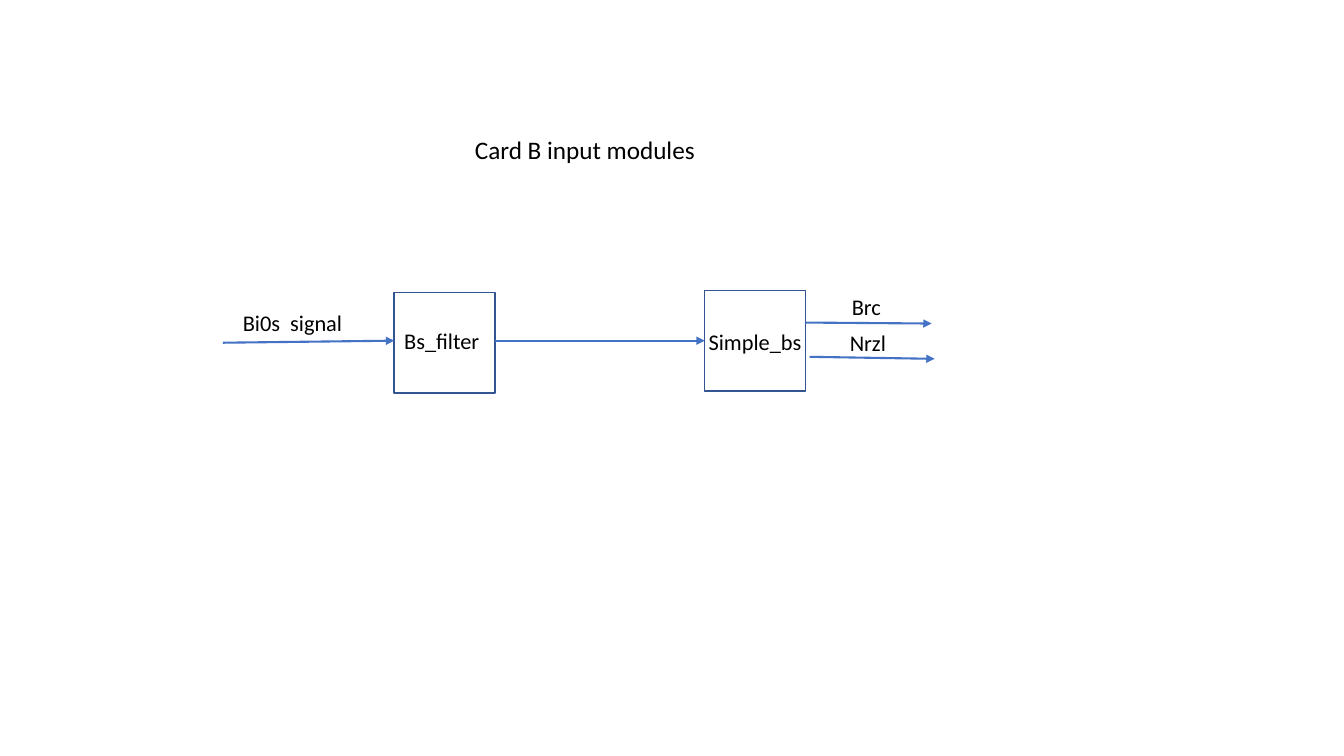
"""Build the slide of Card B input modules as a signal chain of two blocks."""
from dataclasses import dataclass

from lxml.etree import SubElement
from pptx import Presentation
from pptx.dml.color import RGBColor
from pptx.enum.shapes import MSO_CONNECTOR, MSO_SHAPE
from pptx.enum.text import MSO_ANCHOR, MSO_AUTO_SIZE, PP_ALIGN
from pptx.oxml.ns import qn
from pptx.slide import Slide
from pptx.util import Inches, Length, Pt

COLUMNS, ROWS = 13.33, 7.5
CELL = Inches(1)


@dataclass(frozen=True)
class Theme:
    """Colours, type sizes and line widths of the slide."""
    font: str = "Calibri"
    ink: RGBColor = RGBColor(0, 0, 0)
    outline: RGBColor = RGBColor(0x32, 0x54, 0x91)
    arrow: RGBColor = RGBColor(0x44, 0x72, 0xC4)
    title_size: Length = Pt(18)
    label_size: Length = Pt(16)
    outline_width: Length = Pt(1)
    arrow_width: Length = Pt(1.5)


@dataclass(frozen=True)
class Label:
    """Text with its place and extent in grid cells."""
    text: str
    column: float
    row: float
    width: float
    height: float = 0.37


@dataclass(frozen=True)
class Block:
    """A square module, one grid cell in size."""
    column: float
    row: float


@dataclass(frozen=True)
class Arrow:
    """A signal running from one grid point to another."""
    start: tuple[float, float]
    end: tuple[float, float]


THEME = Theme()
TITLE = Label("Card B input modules ", 4.61, 1.28, 2.47, 0.4)
FILTER = Block(3.91, 2.9)
SYNCHRONIZER = Block(6.99, 2.88)
SIGNAL_ROW = 3.38
BLOCKS = [FILTER, SYNCHRONIZER]
ARROWS = [
    Arrow((FILTER.column + 1, SIGNAL_ROW), (SYNCHRONIZER.column, SIGNAL_ROW)),
    Arrow((2.21, 3.4), (FILTER.column, SIGNAL_ROW)),
    Arrow((SYNCHRONIZER.column + 1, 3.2), (9.24, 3.21)),
    Arrow((8.03, 3.54), (9.27, 3.56)),
]
LABELS = [
    Label("Bs_filter ", FILTER.column, 3.2, 1.01),
    Label("Simple_bs", 6.93, 3.21, 1.13),
    Label("Bi0s  signal", 2.31, 3.02, 1.2),
    Label("Brc ", 8.35, 2.86, 0.54),
    Label("Nrzl ", 8.33, 3.22, 0.62),
]


def cells(*counts: float) -> list[int]:
    """Convert counts of grid cells to lengths."""
    return [round(count * CELL) for count in counts]


def apply(target: object, formats: dict[str, object]) -> None:
    """Set every format value on the target."""
    for name, value in formats.items():
        setattr(target, name, value)


def write_label(shape, label: Label, size: Length) -> None:
    """Place the shape and fill it with the label's text."""
    left, top, width, height = cells(label.column, label.row, label.width, label.height)
    apply(shape, {"left": left, "top": top, "width": width, "height": height})
    frame = shape.text_frame
    frame.text = label.text
    apply(frame, {"word_wrap": False, "auto_size": MSO_AUTO_SIZE.SHAPE_TO_FIT_TEXT,
                  "vertical_anchor": MSO_ANCHOR.TOP})
    paragraph = frame.paragraphs[0]
    paragraph.alignment = PP_ALIGN.LEFT
    font = paragraph.runs[0].font
    apply(font, {"name": THEME.font, "size": size})
    font.color.rgb = THEME.ink


def draw_block(slide: Slide, block: Block) -> None:
    """Draw an outlined module square."""
    shape = slide.shapes.add_shape(
        MSO_SHAPE.RECTANGLE, *cells(block.column, block.row, 1, 1))
    shape.shadow.inherit = False
    shape.fill.background()
    shape.line.color.rgb = THEME.outline
    shape.line.width = THEME.outline_width


def draw_arrow(slide: Slide, arrow: Arrow) -> None:
    """Draw a signal line with a triangular head at its end."""
    connector = slide.shapes.add_connector(
        MSO_CONNECTOR.STRAIGHT, *cells(*arrow.start, *arrow.end))
    connector.line.color.rgb = THEME.arrow
    connector.line.width = THEME.arrow_width
    SubElement(connector.line._get_or_add_ln(), qn("a:tailEnd"), type="triangle")
    SubElement(connector._element.spPr, qn("a:effectLst"))


def main() -> None:
    """Build and save the presentation."""
    presentation = Presentation()
    width, height = cells(COLUMNS, ROWS)
    apply(presentation, {"slide_width": width, "slide_height": height})
    slide = presentation.slides.add_slide(presentation.slide_layouts[5])
    write_label(slide.shapes.title, TITLE, THEME.title_size)
    for block in BLOCKS:
        draw_block(slide, block)
    for arrow in ARROWS:
        draw_arrow(slide, arrow)
    for label in LABELS:
        write_label(slide.shapes.add_textbox(0, 0, CELL, CELL), label, THEME.label_size)
    presentation.save("out.pptx")


main()
